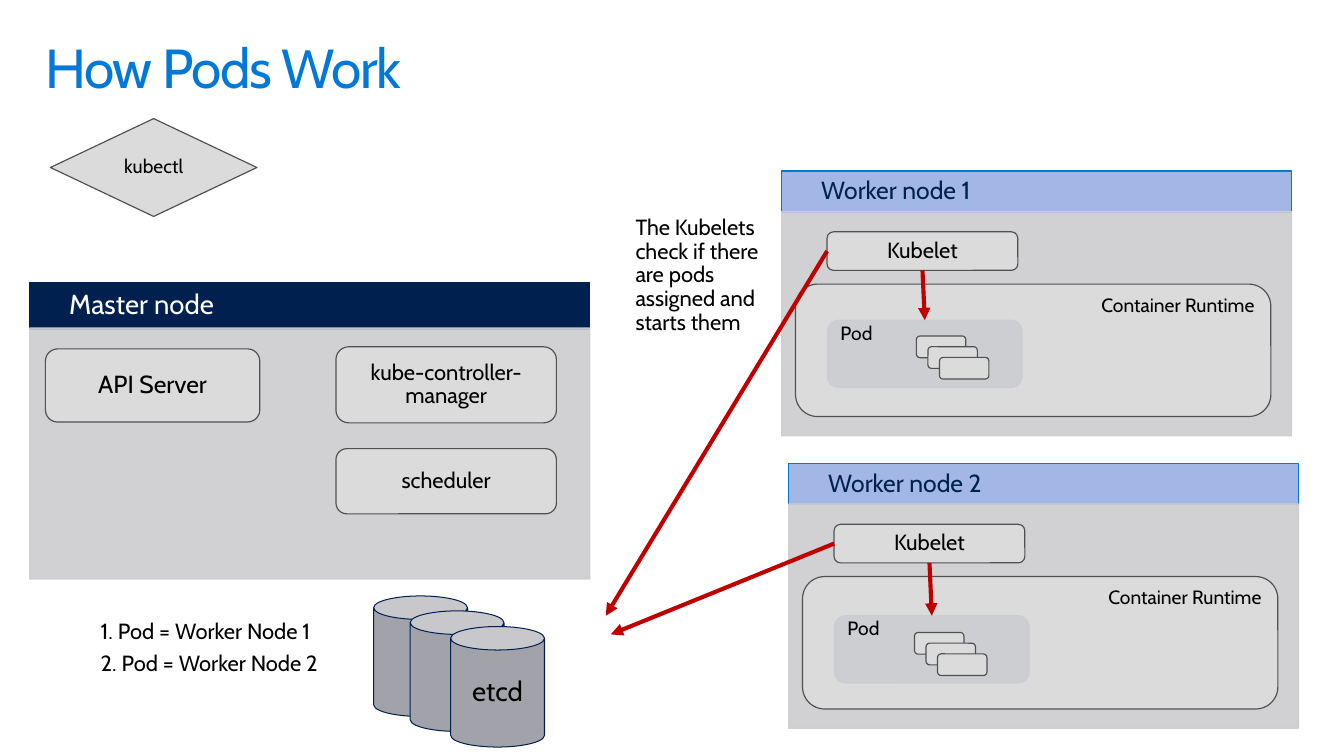
from lxml.etree import SubElement
from pptx import Presentation
from pptx.dml.color import RGBColor
from pptx.enum.shapes import MSO_CONNECTOR, MSO_SHAPE
from pptx.enum.text import MSO_ANCHOR, PP_ALIGN
from pptx.oxml.ns import qn
from pptx.util import Pt

FONT = "Cabin"
BLACK = RGBColor(0x00, 0x00, 0x00)
WHITE = RGBColor(0xFF, 0xFF, 0xFF)
NAVY = RGBColor(0x00, 0x20, 0x50)
BLUE = RGBColor(0x00, 0x78, 0xD7)
LIGHT_BLUE = RGBColor(0xA2, 0xB7, 0xE6)
PANEL = RGBColor(0xCC, 0xCD, 0xD0)
COMPONENT = RGBColor(0xDB, 0xDB, 0xDB)
OUTLINE = RGBColor(0x50, 0x50, 0x50)
STORE = RGBColor(0xA2, 0xA3, 0xAA)
RED = RGBColor(0xC0, 0x00, 0x00)

CENTERED = (14.4, 0, 14.4, 0)
HEADER = (28.8, 0, 28.8, 0)
NOTE = (14.4, 11.5, 14.4, 11.5)


def write(shape, lines, size, color=BLACK, align=PP_ALIGN.LEFT,
          anchor=MSO_ANCHOR.TOP, insets=NOTE, space_after=0):
    frame = shape.text_frame
    frame.word_wrap = True
    frame.vertical_anchor = anchor
    frame.margin_left, frame.margin_top, frame.margin_right, frame.margin_bottom = map(Pt, insets)
    for index, line in enumerate(lines):
        paragraph = frame.add_paragraph() if index else frame.paragraphs[0]
        paragraph.alignment = align
        paragraph.line_spacing = 0.9
        paragraph.space_after = Pt(space_after)
        run = paragraph.add_run()
        run.text = line
        run.font.name = FONT
        run.font.size = Pt(size)
        run.font.color.rgb = color


def add_box(slide, kind, box, fill=COMPONENT, outline=OUTLINE, width=0.85):
    shape = slide.shapes.add_shape(kind, *map(Pt, box))
    shape.shadow.inherit = False
    shape.fill.solid()
    shape.fill.fore_color.rgb = fill
    shape.line.color.rgb = outline
    shape.line.width = Pt(width)
    return shape


def add_panel(slide, kind, box):
    panel = add_box(slide, kind, box, PANEL, PANEL)
    for color in panel._element.spPr.iter(qn("a:srgbClr")):
        SubElement(color, qn("a:alpha"), val="90000")
    return panel


def add_component(slide, box, label, size, kind=MSO_SHAPE.ROUNDED_RECTANGLE):
    component = add_box(slide, kind, box)
    write(component, [label], size, align=PP_ALIGN.CENTER,
          anchor=MSO_ANCHOR.MIDDLE, insets=CENTERED)
    return component


def add_header(slide, box, label, size, color, fill, outline):
    header = add_box(slide, MSO_SHAPE.RECTANGLE, box, fill, outline)
    write(header, [label], size, color, anchor=MSO_ANCHOR.MIDDLE, insets=HEADER)


def add_text(slide, box, lines, size, **style):
    text_box = slide.shapes.add_textbox(*map(Pt, box))
    write(text_box, lines, size, **style)
    return text_box


def add_arrow(slide, source, source_side, end=(0, 0), target=None):
    arrow = slide.shapes.add_connector(
        MSO_CONNECTOR.STRAIGHT, source.left, source.top, *map(Pt, end))
    arrow.begin_connect(source, source_side)
    if target is not None:
        arrow.end_connect(target, 0)
    arrow.line.color.rgb = RED
    arrow.line.width = Pt(3)
    SubElement(arrow.line._get_or_add_ln(), qn("a:tailEnd"), type="triangle")
    SubElement(arrow._element.spPr, qn("a:effectLst"))


def add_title(slide, box):
    title = add_text(slide, box, ["How Pods Work"], 40, color=BLUE,
                     insets=(11.5, 7.2, 11.5, 7.2))
    run = title.text_frame.paragraphs[0].runs[0]
    run.font._element.set("spc", "-100")


def add_master(slide, box):
    left, top, width, height = box
    add_header(slide, (left, top, width, 33.8), "Master node", 20, WHITE, NAVY, NAVY)
    add_panel(slide, MSO_SHAPE.RECTANGLE, (left, top + 33.1, width, height - 33.1))
    add_component(slide, (left + 11.5, top + 48.3, 156.2, 53.3), "API Server", 18)
    add_component(slide, (left + 223.2, top + 46.8, 160.6, 55.4), "kube-controller-manager", 16)
    add_component(slide, (left + 223.2, top + 121, 160.6, 47.5), "scheduler", 16)


def add_store(slide, box):
    left, top, width, height = box
    for x, y in ((0, 0), (26.6, 10.9), (56.1, 22.3)):
        can = add_box(slide, MSO_SHAPE.CAN, (left + x, top + y, width, height),
                      STORE, NAVY, 0.75)
    write(can, ["etcd"], 20, align=PP_ALIGN.CENTER,
          anchor=MSO_ANCHOR.MIDDLE, insets=CENTERED)


def add_pod(slide, box, container_offset):
    left, top, width, height = box
    pod = add_panel(slide, MSO_SHAPE.ROUNDED_RECTANGLE, box)
    write(pod, ["Pod"], 14, insets=(7.2, 0, 14.4, 11.5))
    x, y = container_offset
    for step in range(3):
        add_box(slide, MSO_SHAPE.ROUNDED_RECTANGLE,
                (left + x + 8.4 * step, top + y + 7.8 * step, 36, 15.8))
    return pod


def add_worker(slide, box, name, pod_top, container_offset):
    left, top, width, height = box
    add_header(slide, (left, top, width, 30.2), name, 18, NAVY, LIGHT_BLUE, BLUE)
    add_panel(slide, MSO_SHAPE.RECTANGLE, (left, top + 29.5, width, height - 29.5))
    kubelet = add_component(slide, (left + 33.1, top + 44.3, 139, 28.1), "Kubelet", 16)
    runtime = add_box(slide, MSO_SHAPE.ROUNDED_RECTANGLE, (left + 10.1, top + 82.4, 346.3, 96.5))
    write(runtime, ["Container Runtime"], 14, align=PP_ALIGN.RIGHT,
          insets=(14.4, 3.6, 7.2, 11.5))
    pod = add_pod(slide, (left + 33.4, top + pod_top, 141.8, 49), container_offset)
    add_arrow(slide, kubelet, 2, target=pod)
    return kubelet


def main():
    presentation = Presentation()
    presentation.slide_width = Pt(979.2)
    presentation.slide_height = Pt(550.8)
    slide = presentation.slides.add_slide(presentation.slide_layouts[6])

    add_title(slide, (21.6, 23, 936, 72))
    add_master(slide, (21.6, 205.9, 408.2, 216))
    add_store(slide, (272.2, 434.2, 68.4, 87.8))
    add_component(slide, (36.7, 86.4, 150.5, 71.3), "kubectl", 14, MSO_SHAPE.DIAMOND)
    first_kubelet = add_worker(slide, (569.5, 124.6, 371.5, 192.9), "Worker node 1",
                               108.7, (64.8, 11.5))
    second_kubelet = add_worker(slide, (574.6, 337.7, 371.5, 192.9), "Worker node 2",
                                110.9, (58.3, 12.2))
    add_text(slide, (448.6, 146.2, 137.5, 110.2),
             ["The Kubelets check if there are pods assigned and starts them"],
             16, space_after=6)
    add_text(slide, (59, 440.6, 226.1, 64.1),
             ["1. Pod = Worker Node 1", "2. Pod = Worker Node 2"], 16, space_after=6)
    add_arrow(slide, first_kubelet, 1, end=(441.4, 448.6))
    add_arrow(slide, second_kubelet, 1, end=(445, 462.2))

    presentation.save("out.pptx")


if __name__ == "__main__":
    main()
